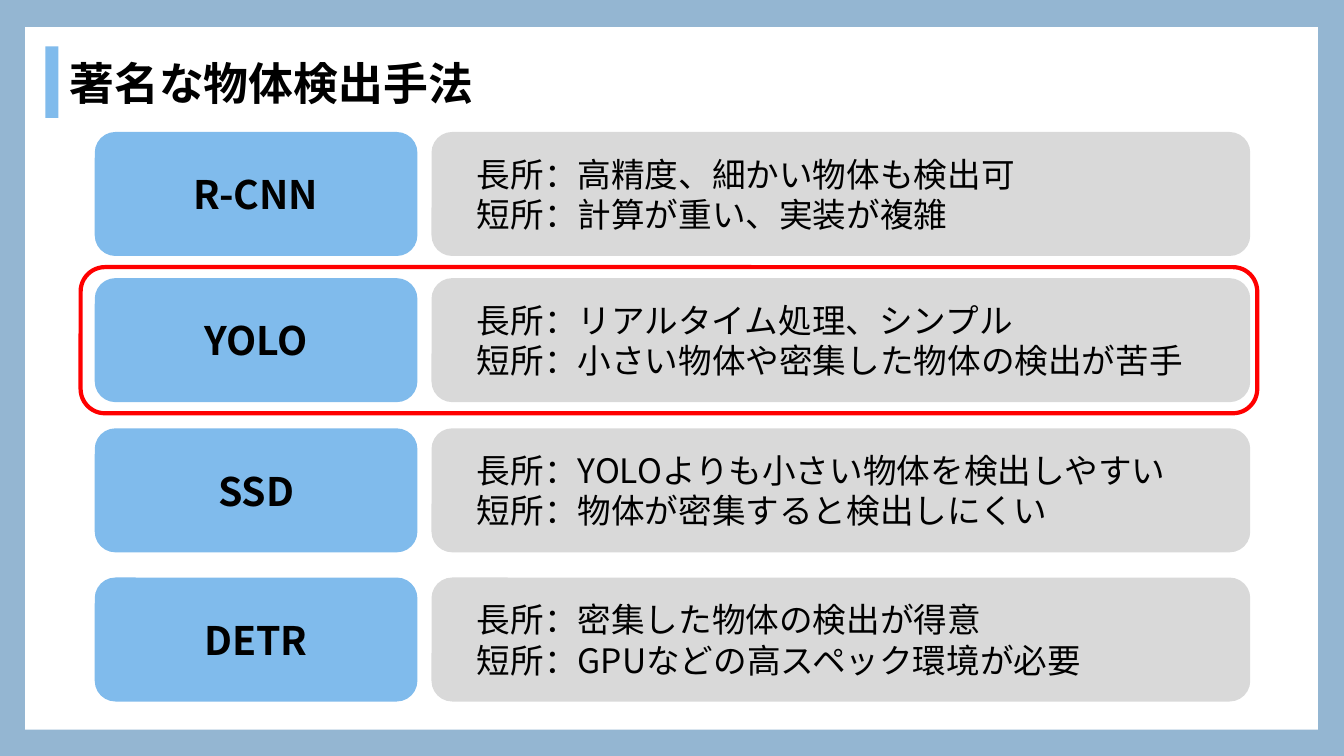
import pptx
import pptx.util
import pptx.dml.color
import pptx.enum.shapes
import pptx.enum.text
import pptx.oxml.ns
from dataclasses import dataclass
from lxml import etree

TITLE = "著名な物体検出手法"
# name, top of the row, strength and weakness
METHODS = [
    ("R-CNN", 1.31, ["長所：高精度、細かい物体も検出可", "短所：計算が重い、実装が複雑"]),
    ("YOLO", 2.76, ["長所：リアルタイム処理、シンプル",
                    "短所：小さい物体や密集した物体の検出が苦手"]),
    ("SSD", 4.25, ["長所：YOLOよりも小さい物体を検出しやすい",
                   "短所：物体が密集すると検出しにくい"]),
    ("DETR", 5.73, ["長所：密集した物体の検出が得意", "短所：GPUなどの高スペック環境が必要"]),
]
HIGHLIGHTED = "YOLO"


@dataclass(frozen=True)
class Theme:
    font: str = "Noto Sans CJK JP"
    frame: str = "94B6D2"
    paper: str = "FFFFFF"
    accent: str = "80BBEC"
    panel: str = "D9D9D9"
    ink: str = "000000"
    highlight: str = "FF0000"
    title_size: int = 32
    name_size: int = 28
    body_size: int = 24


THEME = Theme()
WIDTH, HEIGHT = 13.33, 7.5
ROW_HEIGHT = 1.23
NAME_LEFT, NAME_WIDTH = 0.94, 3.2
GAP = 0.14
DETAIL_LEFT, DETAIL_WIDTH = NAME_LEFT + NAME_WIDTH + GAP, 8.12
RING_MARGIN_X, RING_MARGIN_Y = 0.14, 0.11

RECT = pptx.enum.shapes.MSO_SHAPE.RECTANGLE
ROUNDED = pptx.enum.shapes.MSO_SHAPE.ROUNDED_RECTANGLE
LEFT = pptx.enum.text.PP_ALIGN.LEFT
CENTER = pptx.enum.text.PP_ALIGN.CENTER


def rgb(code):
    return pptx.dml.color.RGBColor.from_string(code)


def inches(*lengths):
    return [pptx.util.Inches(length) for length in lengths]


def add_panel(slide, kind, area, fill=None):
    shape = slide.shapes.add_shape(kind, *inches(*area))
    shape.shadow.inherit = False
    shape.line.fill.background()
    if fill:
        shape.fill.solid()
        shape.fill.fore_color.rgb = rgb(fill)
    else:
        shape.fill.background()
    return shape


def write(shape, lines, size, bold=False, align=LEFT, inset=0.1):
    frame = shape.text_frame
    frame.word_wrap = True
    frame.vertical_anchor = pptx.enum.text.MSO_ANCHOR.MIDDLE
    frame.margin_left, frame.margin_right = inches(inset, inset)
    frame.text = "\n".join(lines)
    for para in frame.paragraphs:
        para.alignment = align
        for span in para.runs:
            span.font.size = pptx.util.Pt(size)
            span.font.bold = bold
            span.font.color.rgb = rgb(THEME.ink)
            span.font.name = THEME.font
            east_asian = etree.SubElement(
                span.font._element, pptx.oxml.ns.qn("a:ea"))
            east_asian.set("typeface", THEME.font)


def add_heading(slide):
    add_panel(slide, RECT, (0.45, 0.46, 0.13, 0.71), THEME.accent)
    box = slide.shapes.add_textbox(*inches(0.59, 0.5, 12.29, 0.64))
    write(box, [TITLE], THEME.title_size, bold=True)


def add_method(slide, name, top, points):
    label = add_panel(
        slide, ROUNDED, (NAME_LEFT, top, NAME_WIDTH, ROW_HEIGHT), THEME.accent)
    write(label, [name], THEME.name_size, bold=True, align=CENTER)
    detail = add_panel(
        slide, ROUNDED, (DETAIL_LEFT, top, DETAIL_WIDTH, ROW_HEIGHT), THEME.panel)
    write(detail, points, THEME.body_size, inset=0.39)


def add_highlight(slide, top):
    row_width = DETAIL_LEFT + DETAIL_WIDTH - NAME_LEFT
    ring = add_panel(slide, ROUNDED, (
        NAME_LEFT - RING_MARGIN_X, top - RING_MARGIN_Y,
        row_width + 1.5 * RING_MARGIN_X, ROW_HEIGHT + 2 * RING_MARGIN_Y))
    ring.line.color.rgb = rgb(THEME.highlight)
    ring.line.width = pptx.util.Pt(3)


def main():
    deck = pptx.Presentation()
    deck.slide_width, deck.slide_height = inches(WIDTH, HEIGHT)
    page = deck.slides.add_slide(deck.slide_layouts[6])
    page.background.fill.solid()
    page.background.fill.fore_color.rgb = rgb(THEME.frame)
    add_panel(page, RECT, (0.25, 0.27, 12.82, 6.97), THEME.paper)
    add_heading(page)
    for name, top, points in METHODS:
        add_method(page, name, top, points)
    for name, top, _ in METHODS:
        if name == HIGHLIGHTED:
            add_highlight(page, top)
    deck.save("out.pptx")


if __name__ == "__main__":
    main()
